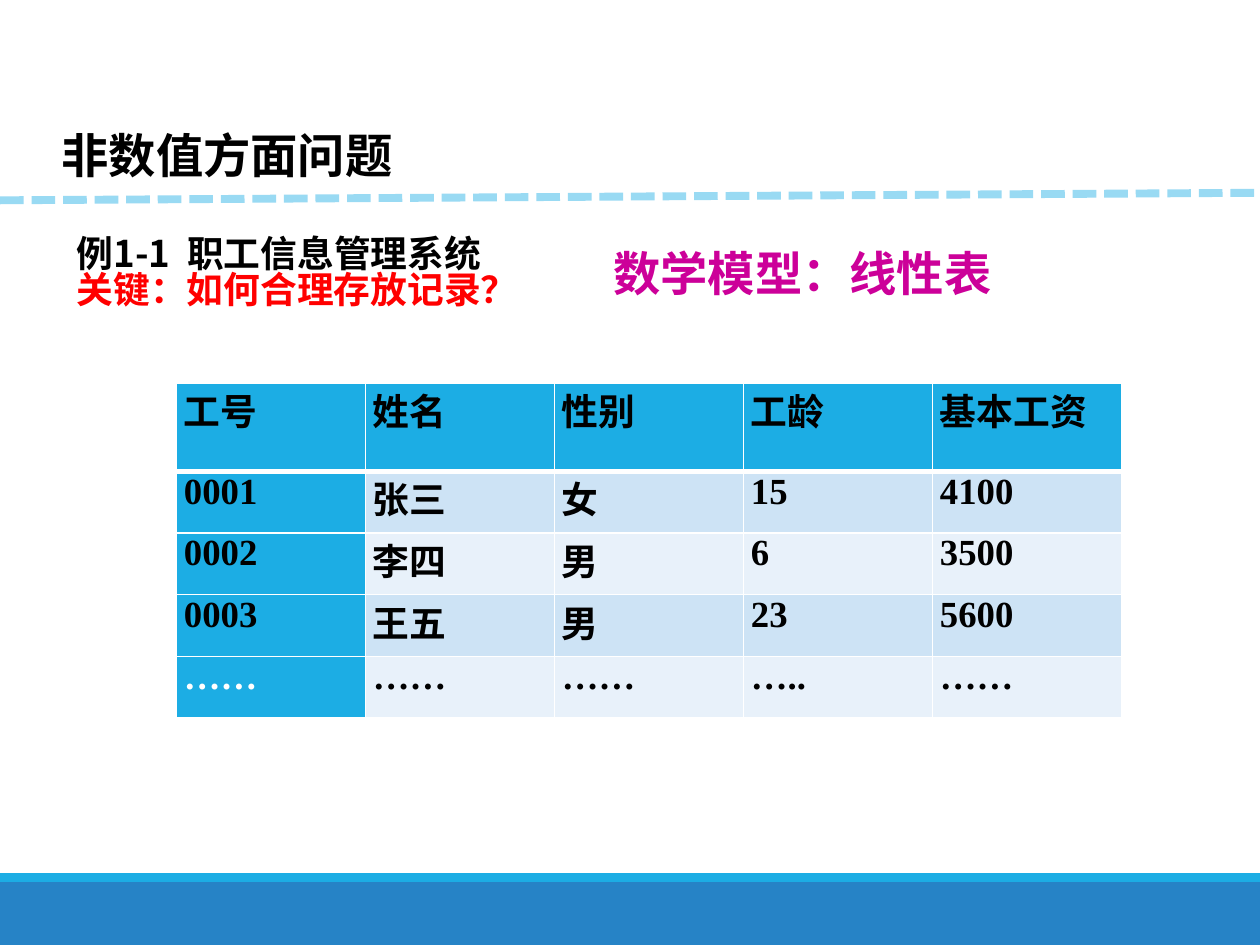
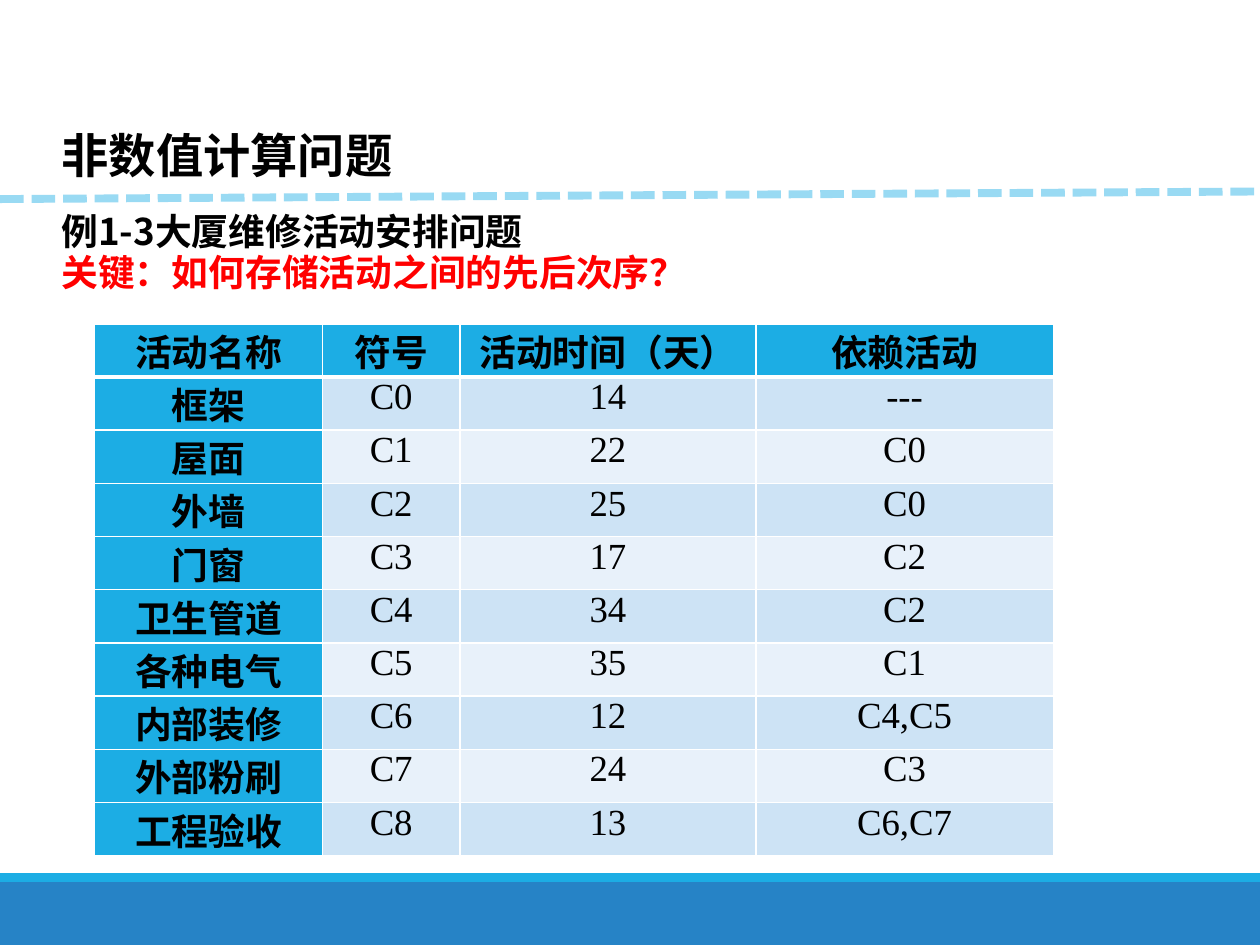
from lxml import etree
from pptx import Presentation
from pptx.dml.color import RGBColor
from pptx.enum.dml import MSO_LINE
from pptx.enum.shapes import MSO_CONNECTOR, MSO_SHAPE
from pptx.enum.text import MSO_ANCHOR, PP_ALIGN
from pptx.oxml.ns import qn
from pptx.util import Inches, Pt

RECTANGLE = MSO_SHAPE.RECTANGLE
STRAIGHT = MSO_CONNECTOR.STRAIGHT
DASH = MSO_LINE.SQUARE_DOT
TOP = MSO_ANCHOR.TOP
LEFT, CENTER, JUSTIFY = PP_ALIGN.LEFT, PP_ALIGN.CENTER, PP_ALIGN.JUSTIFY

BLACK = RGBColor(0x00, 0x00, 0x00)
WHITE = RGBColor(0xFF, 0xFF, 0xFF)
RED = RGBColor(0xFF, 0x00, 0x00)
MAGENTA = RGBColor(0xCC, 0x00, 0x99)
DEEP_BLUE = RGBColor(0x26, 0x83, 0xC6)
BRIGHT_BLUE = RGBColor(0x1C, 0xAD, 0xE4)
DASH_BLUE = RGBColor(0x99, 0xDA, 0xF3)
ROW_TINTS = (RGBColor(0xE8, 0xF1, 0xFA), RGBColor(0xCD, 0xE3, 0xF5))

CJK_FONT = "Noto Sans CJK SC"
TABLE_FONT = "Times New Roman"
TITLE_SIZE, BODY_SIZE = 27, 21
TITLE_BOX = (0.39, 1, 2.86, 0.56)
TITLE_SPACING = 0.9

STAFF = [
    ["工号", "姓名", "性别", "工龄", "基本工资"],
    ["0001", "张三", "女", "15", "4100"],
    ["0002", "李四", "男", "6", "3500"],
    ["0003", "王五", "男", "23", "5600"],
    ["……", "……", "……", "…..", "……"],
]
ACTIVITIES = [
    ["活动名称", "符号", "活动时间（天）", "依赖活动"],
    ["框架", "C0", "14", "---"],
    ["屋面", "C1", "22", "C0"],
    ["外墙", "C2", "25", "C0"],
    ["门窗", "C3", "17", "C2"],
    ["卫生管道", "C4", "34", "C2"],
    ["各种电气", "C5", "35", "C1"],
    ["内部装修", "C6", "12", "C4,C5"],
    ["外部粉刷", "C7", "24", "C3"],
    ["工程验收", "C8", "13", "C6,C7"],
]


def add_run(paragraph, text, size, color, bold=True, font=CJK_FONT):
    run = paragraph.add_run()
    run.text = text
    run.font.name = font
    run.font.size = Pt(size)
    run.font.bold = bold
    run.font.color.rgb = color
    east_asian = etree.SubElement(run._r.get_or_add_rPr(), qn("a:ea"))
    east_asian.set("typeface", CJK_FONT)


def add_bands(slide):
    for top, height, color in ((7, 0.5, DEEP_BLUE), (6.93, 0.07, BRIGHT_BLUE)):
        band = slide.shapes.add_shape(
            RECTANGLE, 0, Inches(top), Inches(10), Inches(height))
        band.shadow.inherit = False
        band.fill.solid()
        band.fill.fore_color.rgb = color
        band.line.fill.background()


def add_title_rule(slide, start_y):
    """Draw the dashed line, which rises slightly to the right."""
    rule = slide.shapes.add_connector(
        STRAIGHT, 0, Inches(start_y), Inches(10), Inches(start_y - 0.06))
    rule.line.color.rgb = DASH_BLUE
    rule.line.width = Pt(4.5)
    rule.line.dash_style = DASH
    etree.SubElement(rule._element.spPr, qn("a:effectLst"))


def set_title(slide, text):
    title = slide.shapes.title
    title.left, title.top, title.width, title.height = map(Inches, TITLE_BOX)
    frame = title.text_frame
    frame.word_wrap = False
    frame.vertical_anchor = TOP
    paragraph = frame.paragraphs[0]
    paragraph.alignment = LEFT
    paragraph.line_spacing = TITLE_SPACING
    add_run(paragraph, text, TITLE_SIZE, BLACK)


def add_text(slide, box, lines, size, spacing, inset_top=0.05, space_after=0):
    """Add one paragraph for each (text, color) pair in lines."""
    frame = slide.shapes.add_textbox(*map(Inches, box)).text_frame
    frame.word_wrap = True
    frame.margin_top = Inches(inset_top)
    for index, (text, color) in enumerate(lines):
        paragraph = frame.add_paragraph() if index else frame.paragraphs[0]
        paragraph.line_spacing = spacing
        paragraph.space_after = Pt(space_after)
        add_run(paragraph, text, size, color)


def set_borders(cell, row):
    """Give a cell white edges, thick between the header and the body."""
    properties = cell._tc.get_or_add_tcPr()
    thick = {("a:lnB", 0), ("a:lnT", 1)}
    for index, edge in enumerate(("a:lnL", "a:lnR", "a:lnT", "a:lnB")):
        line = etree.Element(qn(edge))
        line.set("w", str(Pt(3 if (edge, row) in thick else 1)))
        fill = etree.SubElement(line, qn("a:solidFill"))
        etree.SubElement(fill, qn("a:srgbClr")).set("val", str(WHITE))
        properties.insert(index, line)


def add_data_table(slide, left, top, widths, heights, values, alignment,
                   bold_body):
    table = slide.shapes.add_table(
        len(values), len(widths), Inches(left), Inches(top),
        Inches(sum(widths)), Inches(sum(heights))).table
    for column, width in zip(table.columns, widths):
        column.width = Inches(width)
    for row, (row_values, height) in enumerate(zip(values, heights)):
        table.rows[row].height = Inches(height)
        for column, text in enumerate(row_values):
            cell = table.cell(row, column)
            heading = row == 0 or column == 0
            cell.margin_left = cell.margin_right = Inches(0.06)
            cell.margin_top = cell.margin_bottom = 0
            cell.fill.solid()
            cell.fill.fore_color.rgb = (
                BRIGHT_BLUE if heading else ROW_TINTS[row % 2])
            set_borders(cell, row)
            paragraph = cell.text_frame.paragraphs[0]
            paragraph.alignment = alignment
            color = WHITE if column == 0 and text == "……" else BLACK
            add_run(paragraph, text, BODY_SIZE, color,
                    heading or bold_body, TABLE_FONT)


def add_base_slide(presentation, title, rule_y):
    slide = presentation.slides.add_slide(presentation.slide_layouts[5])
    add_bands(slide)
    set_title(slide, title)
    add_title_rule(slide, rule_y)
    return slide


def build_staff_slide(presentation):
    slide = add_base_slide(presentation, "非数值方面问题", 1.59)
    add_text(slide, (4.77, 1.94, 4.13, 0.56),
             [("数学模型：线性表", MAGENTA)], TITLE_SIZE, TITLE_SPACING)
    add_text(slide, (0.51, 1.81, 4, 0.81),
             [("例1-1  职工信息管理系统", BLACK),
              ("关键：如何合理存放记录？", RED)],
             BODY_SIZE, 0.83, inset_top=0.08)
    add_data_table(slide, 1.4, 3.04, [1.5] * 5, [0.7] + [0.49] * 4,
                   STAFF, JUSTIFY, bold_body=True)


def build_activity_slide(presentation):
    slide = add_base_slide(presentation, "非数值计算问题", 1.58)
    add_data_table(slide, 0.75, 2.57, [1.81, 1.09, 2.35, 2.36],
                   [0.42] * len(ACTIVITIES), ACTIVITIES, CENTER,
                   bold_body=False)
    add_text(slide, (0.39, 1.68, 5.14, 0.8),
             [("例1-3大厦维修活动安排问题", BLACK),
              ("关键：如何存储活动之间的先后次序？", RED)],
             BODY_SIZE, 0.78, space_after=3.7)


def main():
    presentation = Presentation()
    presentation.slide_width = Inches(10)
    presentation.slide_height = Inches(7.5)
    build_staff_slide(presentation)
    build_activity_slide(presentation)
    presentation.save("out.pptx")


if __name__ == "__main__":
    main()
